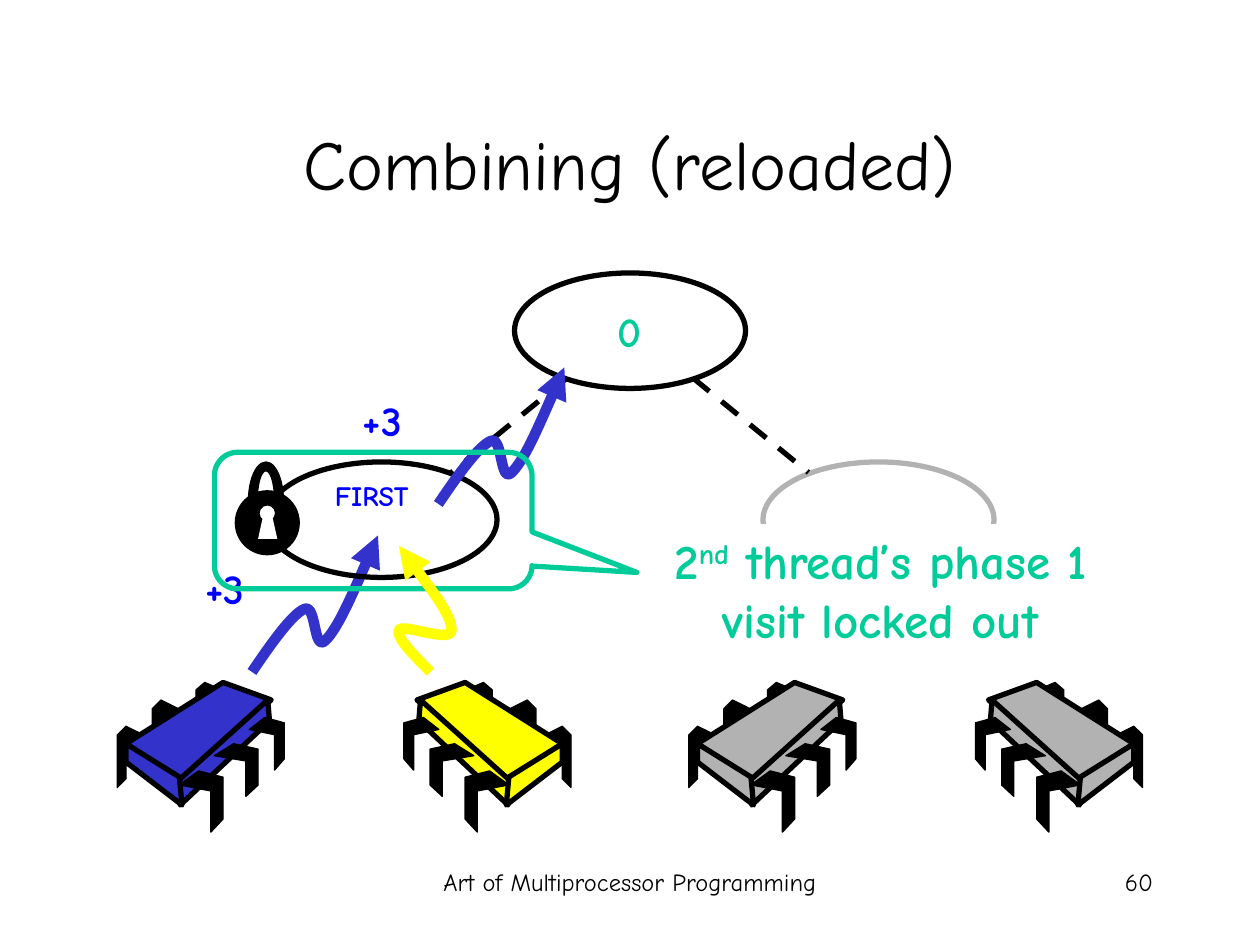
from lxml.etree import SubElement
from pptx import Presentation
from pptx.dml.color import RGBColor
from pptx.enum.dml import MSO_LINE
from pptx.enum.shapes import MSO_CONNECTOR, MSO_SHAPE
from pptx.enum.text import MSO_ANCHOR, PP_ALIGN
from pptx.oxml.ns import qn
from pptx.util import Pt

COLORS = {
    "black": "000000", "white": "FFFFFF", "gray": "B2B2B2", "green": "00CC99",
    "blue": "0000FF", "indigo": "3333CC", "yellow": "FFFF00",
}
FONT = "Comic Neue"

CHIP_WIDTH, CHIP_TOP, FIRST_CHIP_LEFT, CHIP_STEP = 96, 390, 67, 163.3
BACK_LEG = [(15, 5), (5, 0), (0, 5), (0, 35), (5, 30), (5, 10), (15, 15)]
FRONT_LEG = [(11, 0), (0, 8), (18, 11.5), (18, 35), (25, 27.5), (25, 3.6)]
# left, top, horizontal scale, vertical scale
BACK_LEGS = [(0, 25, 1, 1), (20, 10, 1, 1), (45, 0, 1, 0.86)]
FRONT_LEGS = [(35.5, 50.5, 1, 1), (55.5, 35, 1, 0.86), (75.5, 20, 0.8, 0.86)]
CHIP_FACES = [
    [(60.5, 0), (5, 35), (36, 56), (88, 10)],
    [(86, 10), (35.5, 55.5), (36, 70), (87, 22)],
    [(5, 35), (5, 45.5), (37, 70), (35.5, 54)],
]
# start point, then two control points and an end point for each bend
RISING_WAVE = [(0, 78), (11.5, 61), (23, 45), (30, 42), (37, 39), (35, 67),
               (42, 60), (49, 53), (60.5, 27), (72, 0)]
BLOCKED_WAVE = [(20, 72), (10, 62), (0, 52), (2, 48), (4, 44), (32, 56),
                (32, 48), (32, 40), (17, 20), (2, 0)]


def rgb(name):
    return RGBColor.from_string(COLORS[name])


def write(shape, *texts, size, color="black", bold=False, align=PP_ALIGN.CENTER,
          anchor=MSO_ANCHOR.TOP, wrap=True):
    """Fill a shape with runs; a run given as (text, baseline) is raised."""
    frame = shape.text_frame
    frame.word_wrap = wrap
    frame.vertical_anchor = anchor
    paragraph = frame.paragraphs[0]
    paragraph.alignment = align
    for text in texts:
        run = paragraph.add_run()
        if isinstance(text, tuple):
            text, baseline = text
            run._r.get_or_add_rPr().set("baseline", str(baseline))
        run.text = text
        run.font.name = FONT
        run.font.size = Pt(size)
        run.font.bold = bold
        run.font.color.rgb = rgb(color)


class TreeSlide:
    def __init__(self, slide):
        self.shapes = slide.shapes

    def paint(self, shape, fill, line, width):
        shape.shadow.inherit = False
        if fill:
            shape.fill.solid()
            shape.fill.fore_color.rgb = rgb(fill)
        else:
            shape.fill.background()
        if line:
            shape.line.color.rgb = rgb(line)
            shape.line.width = Pt(width)
        else:
            shape.line.fill.background()
        return shape

    def preset(self, kind, left, top, width, height, fill=None, line="black",
               weight=3, adjustments=(), parent=None):
        shape = (parent or self).shapes.add_shape(
            kind, Pt(left), Pt(top), Pt(width), Pt(height))
        for index, value in enumerate(adjustments):
            shape.adjustments[index] = value
        return self.paint(shape, fill, line, weight)

    def node(self, left, top, fill=None, line="black"):
        return self.preset(MSO_SHAPE.OVAL, left, top, 132, 66, fill, line)

    def text(self, left, top, width, height, *texts, **style):
        write(self.shapes.add_textbox(Pt(left), Pt(top), Pt(width), Pt(height)),
              *texts, **style)

    def outline(self, points, fill=None, line="black", weight=0.75, close=True,
                parent=None):
        start, *rest = [(Pt(x), Pt(y)) for x, y in points]
        builder = (parent or self).shapes.build_freeform(*start)
        builder.add_line_segments(rest, close=close)
        return self.paint(builder.convert_to_shape(), fill, line, weight)

    def wave(self, left, top, points, color):
        """Draw a Bézier curve that ends in an arrowhead."""
        shape = self.outline([(left + x, top + y) for x, y in points],
                             line=color, weight=6, close=False)
        segments = list(shape._element.iter(qn("a:lnTo")))
        route = segments[0].getparent()
        for first in range(0, len(segments), 3):
            curve = SubElement(route, qn("a:cubicBezTo"))
            for segment in segments[first:first + 3]:
                curve.append(segment[0])
                route.remove(segment)
        stroke = shape._element.spPr.find(qn("a:ln"))
        SubElement(stroke, qn("a:tailEnd"), type="triangle")

    def branch(self, x1, y1, x2, y2):
        line = self.shapes.add_connector(
            MSO_CONNECTOR.STRAIGHT, Pt(x1), Pt(y1), Pt(x2), Pt(y2))
        line.line.color.rgb = rgb("black")
        line.line.width = Pt(3)
        line.line.dash_style = MSO_LINE.DASH
        SubElement(line._element.spPr, qn("a:effectLst"))

    def chip(self, position, color):
        """Draw a processor; every second one is mirrored."""
        left = FIRST_CHIP_LEFT + position * CHIP_STEP
        group = self.shapes.add_group_shape()

        def piece(points, fill, weight):
            if position % 2:
                points = [(CHIP_WIDTH - x, y) for x, y in points]
            self.outline([(left + x, CHIP_TOP + y) for x, y in points],
                         fill, weight=weight, parent=group)

        def legs(leg, places):
            for dx, dy, sx, sy in places:
                piece([(dx + x * sx, dy + y * sy) for x, y in leg], "black", 0.75)

        legs(BACK_LEG, BACK_LEGS)
        for face in CHIP_FACES:
            piece(face, color, 3)
        legs(FRONT_LEG, FRONT_LEGS)

    def padlock(self):
        group = self.shapes.add_group_shape()
        style = dict(weight=0.75, parent=group)
        self.preset(MSO_SHAPE.OVAL, 134.5, 280.5, 36.5, 36.5, "black", **style)
        self.preset(MSO_SHAPE.OVAL, 148, 288.5, 9.5, 9.5, "white", **style)
        self.outline([(147.5, 308), (158.5, 308), (155.5, 294.5), (150.5, 294.5)],
                     "white", line=None, parent=group)
        self.preset(MSO_SHAPE.BLOCK_ARC, 142, 264, 20, 45, "black",
                    adjustments=(108, 0, 0.25), **style)


def main():
    deck = Presentation()
    deck.slide_width, deck.slide_height = Pt(720), Pt(540)
    tree = TreeSlide(deck.slides.add_slide(deck.slide_layouts[6]))
    label = dict(color="blue", bold=True, wrap=False)

    tree.text(54, 48, 612, 90, "Combining (reloaded)", size=40,
              anchor=MSO_ANCHOR.MIDDLE)
    root = tree.node(294, 156)
    write(root, "0", size=24, color="green", bold=True,
          anchor=MSO_ANCHOR.MIDDLE, wrap=False)
    tree.node(436, 264, "white", "gray")
    tree.chip(0, "indigo")
    tree.chip(1, "yellow")
    tree.wave(144, 306, RISING_WAVE, "indigo")
    tree.text(110, 318, 37, 36, "+3", size=24, **label)
    tree.branch(324, 216, 258, 270)
    tree.branch(396, 216, 462, 270)
    tree.chip(2, "gray")
    tree.chip(3, "gray")
    tree.text(200, 222, 37, 36, "+3", size=24, **label)
    tree.node(152, 264)
    tree.wave(250.5, 210, RISING_WAVE, "indigo")
    tree.padlock()
    tree.text(180.5, 270, 64, 26.5, "FIRST", size=16, **label)

    message = tree.preset(MSO_SHAPE.RECTANGLE, 369, 299.5, 268.5, 75,
                          "white", line=None)
    write(message, "2", ("nd", 30000), " thread’s phase 1 visit locked out",
          size=28, color="green", bold=True)
    tree.preset(MSO_SHAPE.ROUNDED_RECTANGULAR_CALLOUT, 122.5, 258.5, 181.5, 78,
                line="green", adjustments=(0.83, 0.38, 0.17))
    tree.wave(226, 312, BLOCKED_WAVE, "yellow")

    tree.text(246, 492, 228, 36, "Art of Multiprocessor Programming", size=14)
    tree.text(516, 492, 150, 36, "60", size=14, align=PP_ALIGN.RIGHT)
    deck.save("out.pptx")


if __name__ == "__main__":
    main()
